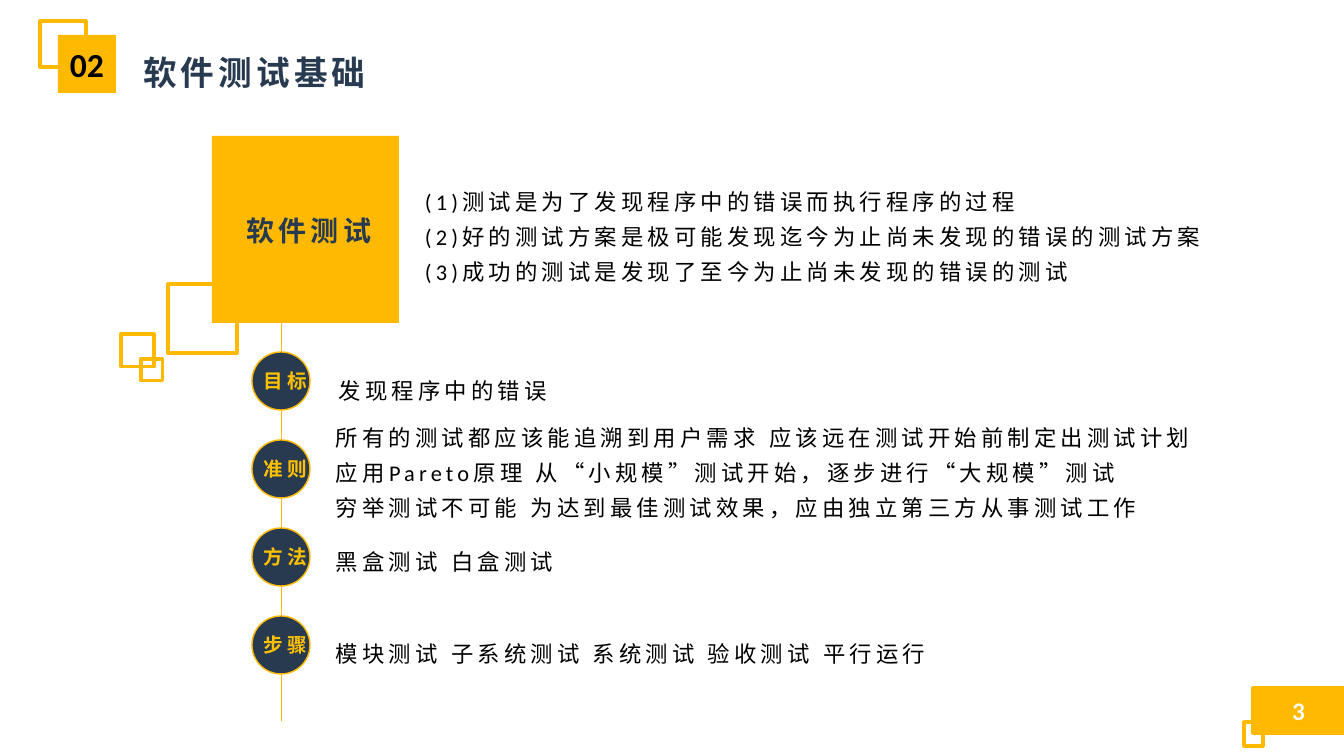
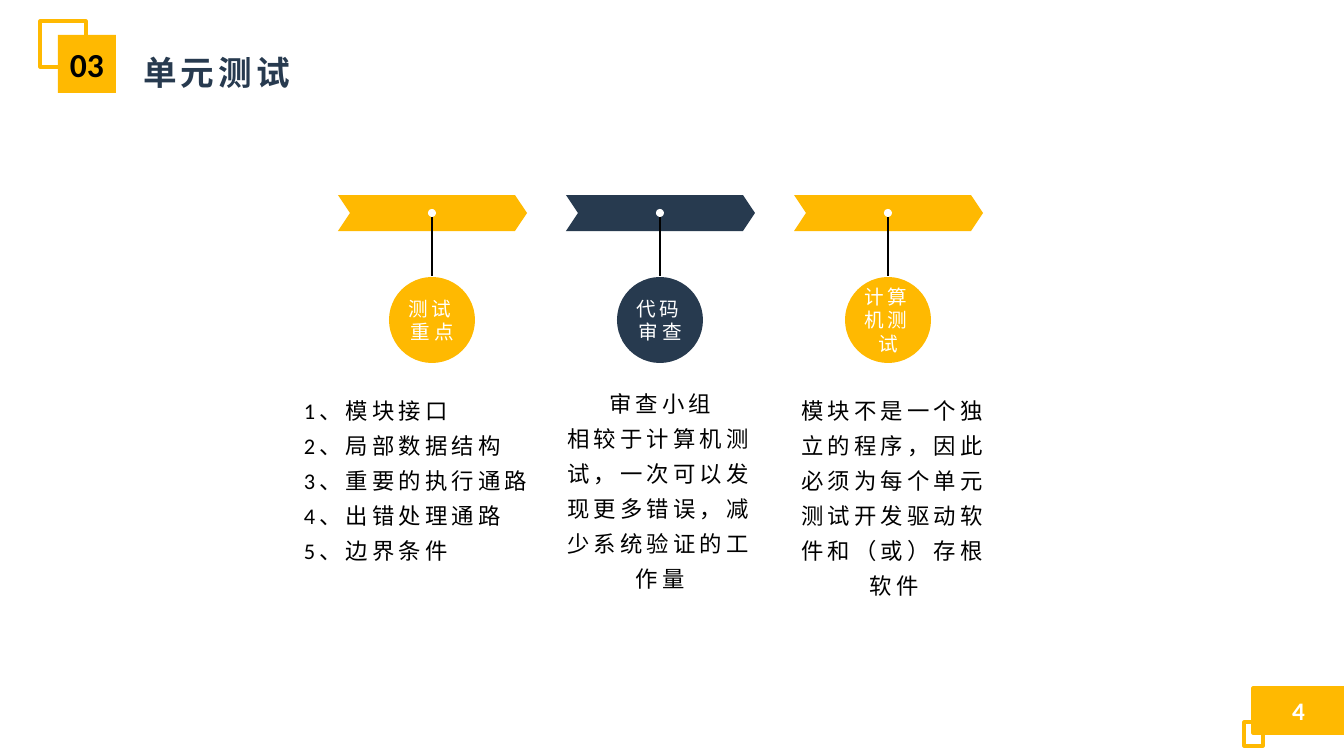
from lxml import etree
from pptx import Presentation
from pptx.dml.color import RGBColor
from pptx.enum.shapes import MSO_CONNECTOR, MSO_SHAPE
from pptx.enum.text import MSO_ANCHOR, MSO_AUTO_SIZE, PP_ALIGN
from pptx.oxml.ns import qn
from pptx.util import Pt

RECT, OVAL = MSO_SHAPE.RECTANGLE, MSO_SHAPE.OVAL
STRAIGHT = MSO_CONNECTOR.STRAIGHT
LEFT, CENTER = PP_ALIGN.LEFT, PP_ALIGN.CENTER
TOP, MIDDLE = MSO_ANCHOR.TOP, MSO_ANCHOR.MIDDLE
NO_FIT = MSO_AUTO_SIZE.NONE

YELLOW = RGBColor(0xFF, 0xB9, 0x01)
GOLD = RGBColor(0xFF, 0xC0, 0x00)
NAVY = RGBColor(0x27, 0x3A, 0x4F)
BLACK = RGBColor(0, 0, 0)
WHITE = RGBColor(0xFF, 0xFF, 0xFF)
FONT = "Calibri"
PX = 914400 / 100.8  # EMU in one pixel

# Content
BASICS = {
    "number": "02", "title": "软件测试基础", "page": "3",
    "topic": "软件测试",
    "definition": [
        "(1)测试是为了发现程序中的错误而执行程序的过程",
        "(2)好的测试方案是极可能发现迄今为止尚未发现的错误的测试方案",
        "(3)成功的测试是发现了至今为止尚未发现的错误的测试",
    ],
    # label, left and top of the text, lines
    "steps": [
        ("目标", 329, 364, ["发现程序中的错误"]),
        ("准则", 326, 411, [
            "所有的测试都应该能追溯到用户需求 应该远在测试开始前制定出测试计划",
            "应用Pareto原理 从“小规模”测试开始，逐步进行“大规模”测试",
            "穷举测试不可能 为达到最佳测试效果，应由独立第三方从事测试工作",
        ]),
        ("方法", 326, 535, ["黑盒测试 白盒测试"]),
        ("步骤", 326, 627, ["模块测试 子系统测试 系统测试 验收测试 平行运行"]),
    ],
}
UNIT = {
    "number": "03", "title": "单元测试", "page": "4",
    # label, colour, box of the text, alignment, paragraphs
    "columns": [
        ("测试重点", YELLOW, (304, 389, 244, 135), LEFT,
         ["1、模块接口", "2、局部数据结构", "3、重要的执行通路",
          "4、出错处理通路", "5、边界条件"]),
        ("代码审查", NAVY, (566, 382, 188, 135), CENTER,
         ["审查小组",
          "相较于计算机测试，一次可以发现更多错误，减少系统验证的工作量"]),
        ("计算机测试", YELLOW, (800, 389, 188, 135), CENTER,
         ["模块不是一个独立的程序，因此必须为每个单元测试开发驱动软件和（或）存根软件"]),
    ],
}


def emu(*pixels):
    return [round(v * PX) for v in pixels]


# Shared helpers
def write(sp, lines, size, color, bold=False, align=LEFT, spacing=None,
          track=3, anchor=TOP, wrap=True, inset=None):
    tf = sp.text_frame
    tf.auto_size = NO_FIT
    tf.word_wrap = wrap
    tf.vertical_anchor = anchor
    if inset is not None:
        tf.margin_left = tf.margin_right = tf.margin_top = tf.margin_bottom = inset
    tf.text = "\n".join(lines)
    for p in tf.paragraphs:
        p.alignment = align
        if spacing:
            p.line_spacing = spacing
        for r in p.runs:
            r.font.name, r.font.size, r.font.bold = FONT, Pt(size), bold
            r.font.color.rgb = color
            if track:
                r._r.get_or_add_rPr().set("spc", str(track * 100))


def add_text(s, box, lines, size, color, **style):
    write(s.shapes.add_textbox(*emu(*box)), lines, size, color, **style)


def add_body(s, box, lines, **style):
    add_text(s, box, lines, 16, BLACK, spacing=1.3, **style)


def paint(sp, fill=None, line=None, width=2.25):
    sp.shadow.inherit = False
    if fill is None:
        sp.fill.background()
    else:
        sp.fill.solid()
        sp.fill.fore_color.rgb = fill
    if line is None:
        sp.line.fill.background()
    else:
        sp.line.color.rgb = line
        sp.line.width = Pt(width)


def add_shape(s, kind, box, fill=None, line=None, width=2.25):
    sp = s.shapes.add_shape(kind, *emu(*box))
    paint(sp, fill, line, width)
    return sp


def add_line(s, ends, color, width):
    line = s.shapes.add_connector(STRAIGHT, *emu(*ends))
    line.line.color.rgb = color
    line.line.width = Pt(width)
    etree.SubElement(line._element.spPr, qn("a:effectLst"))


def add_slide(prs, content):
    s = prs.slides.add_slide(prs.slide_layouts[5])
    # Title and numbered badge
    title = s.shapes.title
    title.left, title.top, title.width, title.height = emu(133, 35, 276, 58)
    write(title, [content["title"]], 24, NAVY, bold=True, spacing=1.3)
    add_shape(s, RECT, (40, 21, 46, 46), line=YELLOW)
    badge = add_shape(s, RECT, (58, 35, 58, 58), YELLOW)
    write(badge, [content["number"]], 24, BLACK, bold=True, align=CENTER,
          track=0, anchor=MIDDLE, wrap=False)
    # Page number
    tag = add_shape(s, RECT, (1253, 688, 91, 45), YELLOW, YELLOW)
    write(tag, [content["page"]], 18, WHITE, bold=True, align=CENTER,
          track=0, anchor=MIDDLE)
    add_shape(s, RECT, (1244, 722, 19, 24), line=YELLOW)
    return s


def build_basics(prs):
    s = add_slide(prs, BASICS)
    # Topic square with its outlined squares
    for x, y, side in [(168, 284, 69), (121, 334, 33), (141, 359, 22)]:
        add_shape(s, RECT, (x, y, side, side), line=YELLOW)
    add_shape(s, RECT, (212, 136, 187, 187), YELLOW)
    add_text(s, (234, 209, 150, 44), [BASICS["topic"]], 20, NAVY,
             bold=True, align=CENTER, wrap=False)
    add_body(s, (415, 175, 893, 113), BASICS["definition"])
    # Timeline
    add_line(s, (281, 319, 281, 721), YELLOW, 0.5)
    for i, (label, x, y, lines) in enumerate(BASICS["steps"]):
        top = 352 + 88 * i
        add_shape(s, OVAL, (252, top, 58, 58), NAVY, YELLOW, 1)
        add_text(s, (243, top + 12, 84, 34), [label], 14, GOLD,
                 bold=True, align=CENTER)
        add_body(s, (x, y, 952, 35 * len(lines) + 8), lines)


def build_unit(prs):
    s = add_slide(prs, UNIT)
    top, width, height, notch = 195, 189, 36, 12
    for i, (label, color, box, align, lines) in enumerate(UNIT["columns"]):
        left = 338 + 228 * i
        right, middle, bottom = left + width, top + height / 2, top + height
        center = left + 94
        # Arrow band
        outline = s.shapes.build_freeform(left, top, scale=PX)
        outline.add_line_segments([
            (right - notch, top), (right, middle), (right - notch, bottom),
            (left, bottom), (left + notch, middle)], close=True)
        paint(outline.convert_to_shape(), color)
        # Hanging circle
        circle = add_shape(s, OVAL, (center - 43, 277, 86, 86), color)
        write(circle, [label], 14, WHITE, align=CENTER, anchor=MIDDLE, inset=0)
        add_line(s, (center, 276, center, 217), BLACK, 1.5)
        add_shape(s, OVAL, (center - 4, 209, 8, 8), WHITE)
        add_body(s, box, lines, align=align, inset=0)


prs = Presentation()
prs.slide_width, prs.slide_height = emu(1344, 756)
build_basics(prs)
build_unit(prs)
prs.save("out.pptx")
